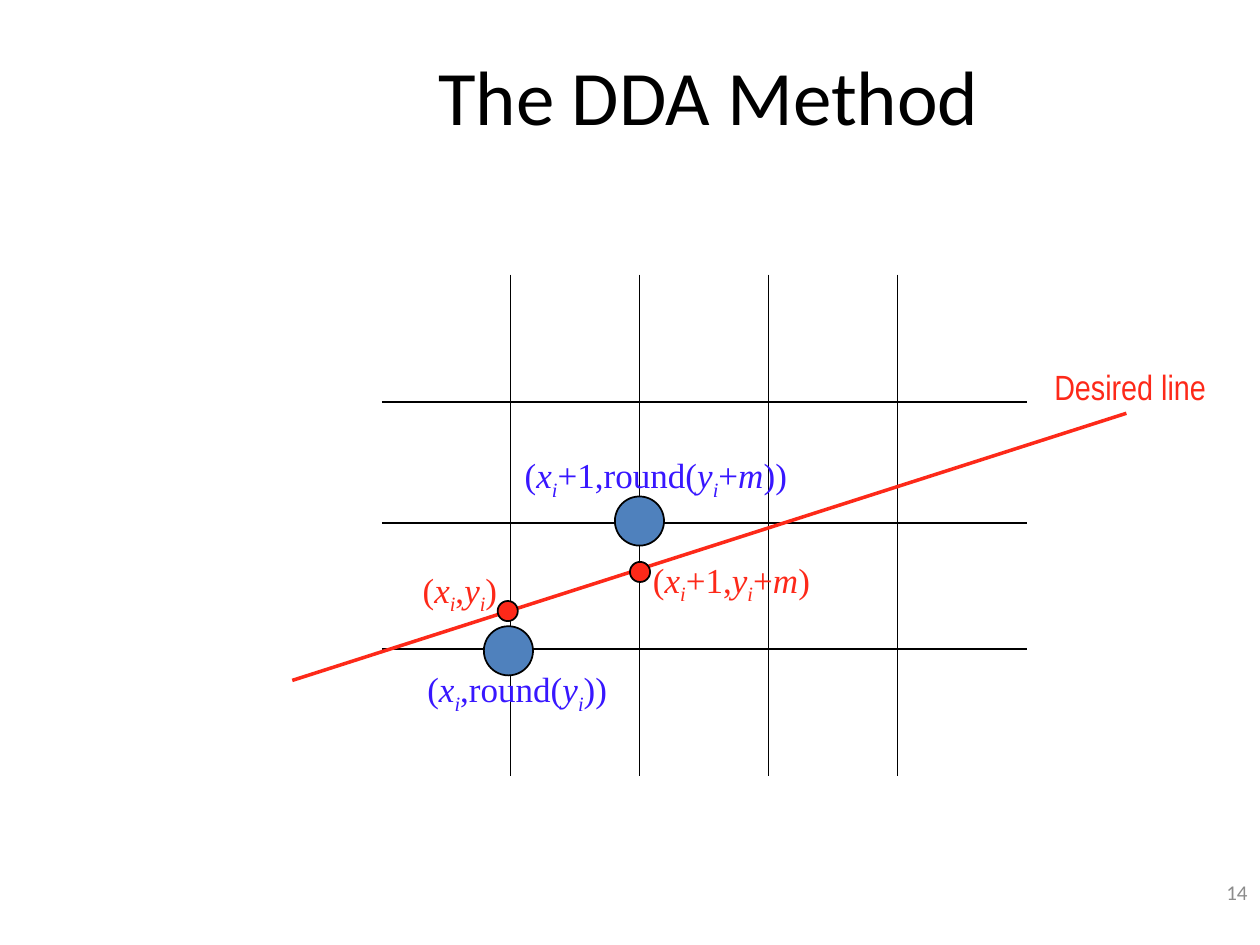
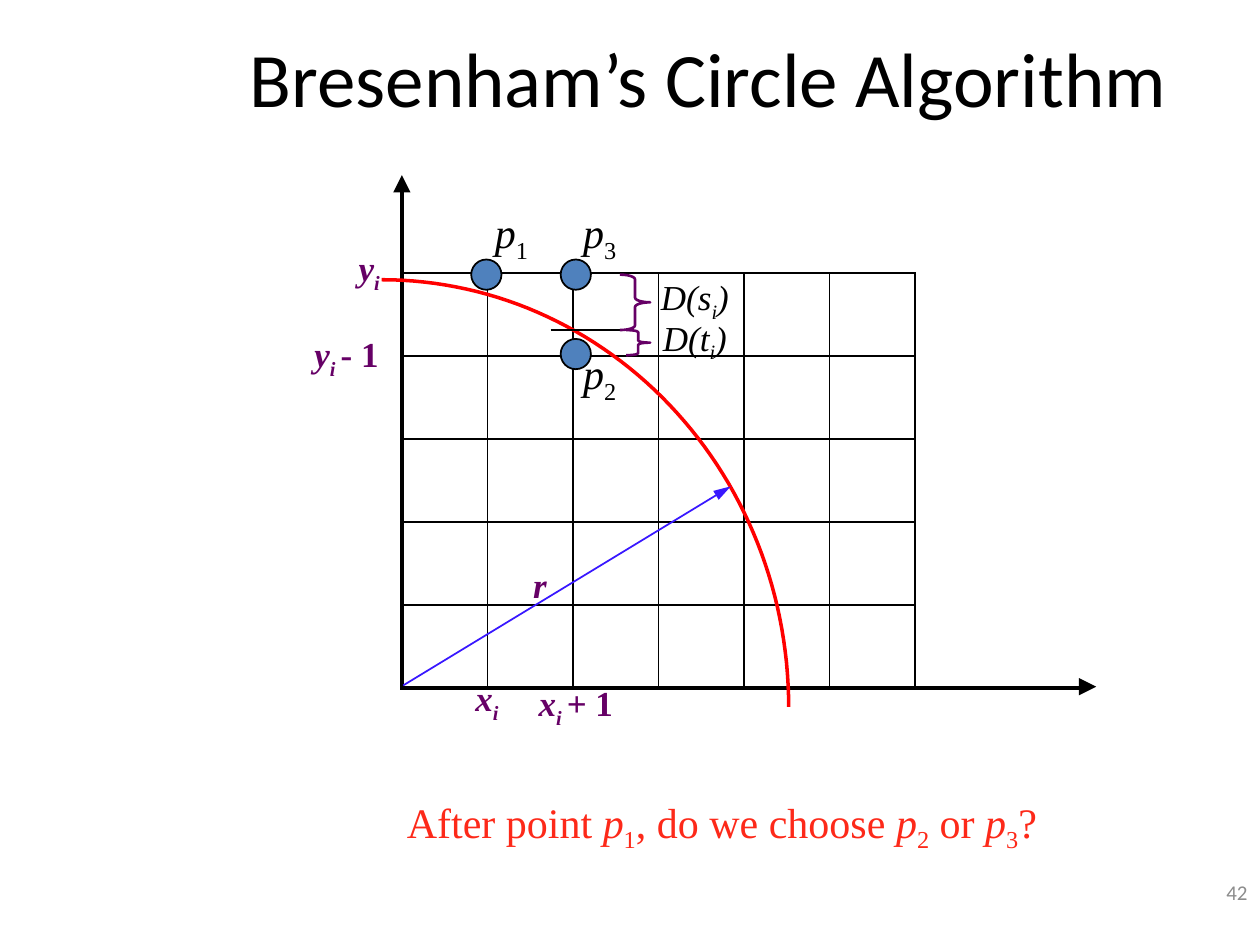
from math import cos, pi, sin
from typing import Callable, NamedTuple, Sequence

from lxml import etree
from pptx import Presentation
from pptx.dml.color import RGBColor
from pptx.enum.shapes import MSO_CONNECTOR, MSO_SHAPE
from pptx.enum.text import MSO_ANCHOR, MSO_AUTO_SIZE, PP_ALIGN
from pptx.oxml.ns import qn
from pptx.slide import Slide
from pptx.util import Inches, Pt

# Shared look
BLACK = RGBColor(0x00, 0x00, 0x00)
GREY = RGBColor(0x8C, 0x8C, 0x8C)
RED = RGBColor(0xFD, 0x29, 0x19)
ARC_RED = RGBColor(0xFF, 0x00, 0x00)
BLUE = RGBColor(0x38, 0x17, 0xFF)
PIXEL_BLUE = RGBColor(0x4F, 0x81, 0xBD)
PURPLE = RGBColor(0x66, 0x00, 0x66)

HEADING_FONT = "Calibri"
MATH_FONT = "Times New Roman"
CALLOUT_FONT = "Arial Narrow"

ELLIPSE = MSO_SHAPE.OVAL
BRACE = MSO_SHAPE.RIGHT_BRACE
STRAIGHT = MSO_CONNECTOR.STRAIGHT
CENTER, RIGHT = PP_ALIGN.CENTER, PP_ALIGN.RIGHT
MIDDLE = MSO_ANCHOR.MIDDLE
GROW = MSO_AUTO_SIZE.SHAPE_TO_FIT_TEXT
TITLE_ONLY = 5

Point = tuple[float, float]
LineWidth = Callable[[int, int], float]


class Piece(NamedTuple):
    """A stretch of text in a formula."""
    text: str
    italic: bool = False
    sub: bool = False


class Label(NamedTuple):
    """A one-line formula or caption in its box."""
    left: float
    top: float
    width: float
    pieces: Sequence[Piece]
    color: RGBColor
    size: int = 20
    bold: bool = False
    font: str = MATH_FONT


class Dot(NamedTuple):
    left: float
    top: float
    diameter: float
    color: RGBColor


class Segment(NamedTuple):
    start: Point
    end: Point
    color: RGBColor
    width: float = 1
    head: tuple[str, str] | None = None  # arrowhead width and length


class Brace(NamedTuple):
    left: float
    top: float
    width: float
    height: float
    curl: float


def indexed(name: str, index: str = "i") -> list[Piece]:
    """An italic variable with an italic subscript."""
    return [Piece(name, True), Piece(index, True, True)]


def point_name(number: str) -> list[Piece]:
    return [Piece("p", True), Piece(number, sub=True)]


def distance(name: str) -> list[Piece]:
    return [Piece(f"D({name}", True), Piece("i", True, True), Piece(")", True)]


def start_slide(prs, title: str, number: str, title_height: float) -> Slide:
    """Add a slide with its title and slide number."""
    slide = prs.slides.add_slide(prs.slide_layouts[TITLE_ONLY])
    heading = slide.shapes.title
    heading.left, heading.top = Inches(1.5), Inches(0.13)
    heading.width, heading.height = Inches(8.25), Inches(title_height)
    page = slide.shapes.add_textbox(Inches(7.92), Inches(6.83), Inches(2.08), Inches(0.5))
    for box, text, size, color, align in ((heading, title, 44, BLACK, CENTER),
                                          (page, number, 12, GREY, RIGHT)):
        frame = box.text_frame
        frame.text = text
        frame.word_wrap = True
        frame.vertical_anchor = MIDDLE
        frame.paragraphs[0].alignment = align
        font = frame.paragraphs[0].runs[0].font
        font.name, font.size, font.color.rgb = HEADING_FONT, Pt(size), color
    return slide


def draw_label(slide: Slide, label: Label) -> None:
    box = slide.shapes.add_textbox(Inches(label.left), Inches(label.top), Inches(label.width),
                                   Inches(0.43 if label.size == 20 else 0.5))
    frame = box.text_frame
    frame.word_wrap = False
    frame.auto_size = GROW
    paragraph = frame.paragraphs[0]
    paragraph.alignment = CENTER
    for piece in label.pieces:
        run = paragraph.add_run()
        run.text = piece.text
        font = run.font
        font.name, font.size, font.color.rgb = label.font, Pt(label.size), label.color
        font.bold, font.italic = label.bold, piece.italic
        if piece.sub:
            run._r.get_or_add_rPr().set("baseline", "-25000")


def draw_dot(slide: Slide, dot: Dot) -> None:
    oval = slide.shapes.add_shape(ELLIPSE, Inches(dot.left), Inches(dot.top),
                                  Inches(dot.diameter), Inches(dot.diameter))
    oval.shadow.inherit = False
    oval.fill.solid()
    oval.fill.fore_color.rgb = dot.color
    oval.line.color.rgb = BLACK
    oval.line.width = Pt(1)


def draw_segment(slide: Slide, segment: Segment) -> None:
    (x1, y1), (x2, y2) = segment.start, segment.end
    line = slide.shapes.add_connector(STRAIGHT, Inches(x1), Inches(y1), Inches(x2), Inches(y2))
    line.line.color.rgb = segment.color
    line.line.width = Pt(segment.width)
    properties = line._element.spPr
    if segment.head:
        width, length = segment.head
        etree.SubElement(properties.find(qn("a:ln")), qn("a:tailEnd"),
                         type="triangle", w=width, len=length)
    etree.SubElement(properties, qn("a:effectLst"))


def draw_brace(slide: Slide, brace: Brace) -> None:
    shape = slide.shapes.add_shape(BRACE, Inches(brace.left), Inches(brace.top),
                                   Inches(brace.width), Inches(brace.height))
    shape.adjustments[0], shape.adjustments[1] = brace.curl, 0.5
    shape.shadow.inherit = False
    shape.fill.background()
    shape.line.color.rgb = PURPLE
    shape.line.width = Pt(1.5)


def draw_quarter_arc(slide: Slide, center: Point, radii: Point, steps: int = 60) -> None:
    """Draw the upper right quarter of an ellipse, from its top clockwise."""
    angles = [pi / 2 * step / steps for step in range(steps + 1)]
    points = [(Inches(center[0] + radii[0] * sin(angle)),
               Inches(center[1] - radii[1] * cos(angle))) for angle in angles]
    builder = slide.shapes.build_freeform(*points[0], scale=1.0)
    builder.add_line_segments(points[1:], close=False)
    arc = builder.convert_to_shape()
    arc.shadow.inherit = False
    arc.fill.background()
    arc.line.color.rgb = ARC_RED
    arc.line.width = Pt(2)


def draw_grid(slide: Slide, corner: Point, width: float, columns: int, heights: Sequence[float],
              vertical: LineWidth, horizontal: LineWidth) -> None:
    """Draw a table; vertical(line, row) and horizontal(line, column) give border widths."""
    grid = slide.shapes.add_table(len(heights), columns, Inches(corner[0]), Inches(corner[1]),
                                  Inches(width), Inches(sum(heights))).table
    grid.first_row = grid.horz_banding = False
    for column in grid.columns:
        column.width = Inches(width / columns)
    for r, height in enumerate(heights):
        grid.rows[r].height = Inches(height)
        for c in range(columns):
            cell = grid.cell(r, c)
            cell.fill.background()
            borders = (("a:lnL", vertical(c, r)), ("a:lnR", vertical(c + 1, r)),
                       ("a:lnT", horizontal(r, c)), ("a:lnB", horizontal(r + 1, c)))
            for position, (tag, points) in enumerate(borders):
                border = etree.Element(qn(tag), w=str(Pt(points)))
                if points:
                    fill = etree.SubElement(border, qn("a:solidFill"))
                    etree.SubElement(fill, qn("a:srgbClr"), val=str(BLACK))
                else:
                    etree.SubElement(border, qn("a:noFill"))
                cell._tc.get_or_add_tcPr().insert(position, border)


def build_dda(prs) -> None:
    slide = start_slide(prs, "The DDA Method", "14", 1.25)

    # Pixel grid: inner lines only
    draw_grid(slide, (3.03, 2.18), 5.12, 5, (1.01, 0.96, 1, 1.01),
              vertical=lambda line, row: 1 if 0 < line < 5 else 0,
              horizontal=lambda line, column: 1 if 0 < line < 4 else 0)

    # Chosen pixels, the desired line and its exact points
    for left, top in ((3.84, 4.97), (4.88, 3.94)):
        draw_dot(slide, Dot(left, top, 0.39, PIXEL_BLUE))
    draw_segment(slide, Segment((2.32, 5.4), (8.94, 3.28), RED, 2))
    for left, top in ((3.95, 4.77), (5, 4.46)):
        draw_dot(slide, Dot(left, top, 0.16, RED))

    # Coordinates
    x, y, slope = indexed("x"), indexed("y"), [Piece("+"), Piece("m", True)]
    opening, closing = Piece("("), Piece(")")
    for label in (
        Label(8.18, 2.85, 1.58, [Piece("Desired line")], RED, font=CALLOUT_FONT),
        Label(3.29, 5.25, 1.63, [opening, *x, Piece(",round("), *y, Piece("))")], BLUE),
        Label(3.25, 4.46, 0.8, [opening, *x, Piece(","), *y, closing], RED),
        Label(4.06, 3.55, 2.29,
              [opening, *x, Piece("+1,round("), *y, *slope, Piece("))")], BLUE),
        Label(5.08, 4.38, 1.45, [opening, *x, Piece("+1,"), *y, *slope, closing], RED),
    ):
        draw_label(slide, label)


def build_circle(prs) -> None:
    slide = start_slide(prs, "Bresenham\u2019s Circle Algorithm", "42", 0.95)

    # Grid of 6 by 5 squares, with axes that run on past it
    def vertical(line: int, row: int) -> float:
        if line == 0:
            return 2.25
        return 1 if line <= 6 and row >= 1 else 0

    def horizontal(line: int, column: int) -> float:
        if line == 6:
            return 2.25
        return 1 if line >= 1 and column < 6 else 0

    draw_grid(slide, (3.19, 1.51), 5.43, 8, [3.95 / 6] * 6, vertical, horizontal)
    draw_segment(slide, Segment((3.19, 1.62), (3.19, 1.39), BLACK, head=("lg", "lg")))
    draw_segment(slide, Segment((8.47, 5.45), (8.7, 5.45), BLACK, head=("lg", "lg")))

    # Circle and candidate points
    draw_quarter_arc(slide, center=(3.03, 5.61), radii=(3.23, 3.39))
    for left, top in ((3.74, 2.06), (4.45, 2.06), (4.45, 2.69)):
        draw_dot(slide, Dot(left, top, 0.24, PIXEL_BLUE))

    # Distances from the circle, and its radius
    draw_segment(slide, Segment((4.37, 2.62), (5, 2.62), BLACK))
    draw_brace(slide, Brace(4.92, 2.18, 0.24, 0.44, 0.156))
    draw_brace(slide, Brace(4.97, 2.62, 0.19, 0.2, 0.087))
    draw_segment(slide, Segment((3.2, 5.44), (5.8, 3.86), BLUE, head=("med", "lg")))

    # Names of points, distances and coordinates
    for number, left, top in (("1", 3.82, 1.59), ("3", 4.52, 1.59), ("2", 4.52, 2.71)):
        draw_label(slide, Label(left, top, 0.48, point_name(number), BLACK, 24))
    for name, top in (("s", 2.14), ("t", 2.46)):
        draw_label(slide, Label(5.08, top, 0.87, distance(name), BLACK))
    for left, top, width, pieces in (
        (2.74, 1.91, 0.38, indexed("y")),
        (2.39, 2.59, 0.72, [*indexed("y", "i "), Piece("- 1")]),
        (3.67, 5.32, 0.39, indexed("x")),
        (4.17, 5.36, 0.8, [*indexed("x", "i "), Piece("+ 1")]),
        (4.13, 4.42, 0.31, [Piece("r", True)]),
    ):
        draw_label(slide, Label(left, top, width, pieces, PURPLE, bold=True))

    # Question
    question = [Piece("After point "), *point_name("1"), Piece(", do we choose "),
                *point_name("2"), Piece(" or "), *point_name("3"), Piece("?")]
    draw_label(slide, Label(3.11, 6.27, 5.24, question, RED, 24))


presentation = Presentation()
presentation.slide_width, presentation.slide_height = Inches(10), Inches(7.5)
build_dda(presentation)
build_circle(presentation)
presentation.save("out.pptx")
